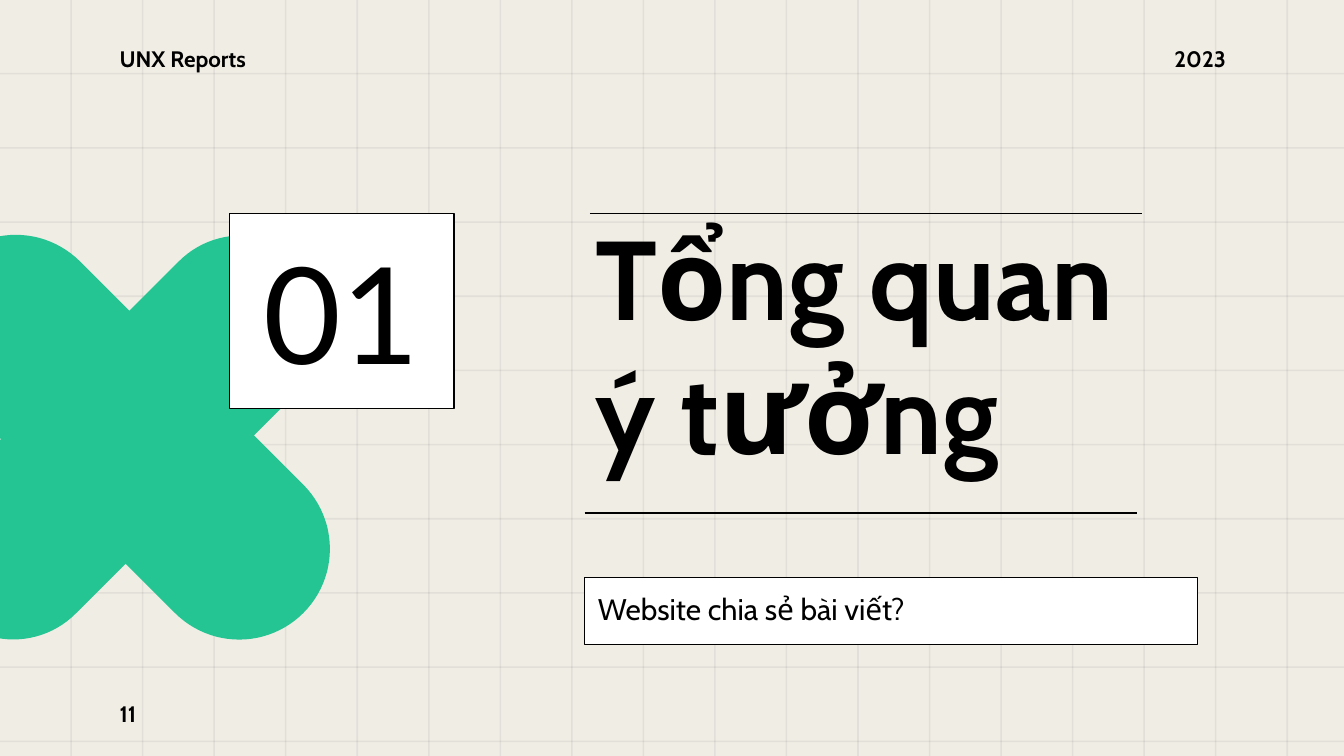
from dataclasses import dataclass

from lxml.etree import SubElement
from pptx import Presentation
from pptx.dml.color import RGBColor
from pptx.enum.shapes import MSO_CONNECTOR as Connector, MSO_SHAPE as Preset
from pptx.enum.text import MSO_ANCHOR as Anchor, PP_ALIGN as Align
from pptx.oxml.ns import qn
from pptx.util import Cm, Pt

WIDTH, HEIGHT = 25.4, 14.29
BLACK, WHITE, GREEN, PAPER = "000000", "FFFFFF", "25C593", "F0EDE5"
GRID_OPACITY = 6


@dataclass(frozen=True)
class Box:
    """Position and size in centimetres."""
    left: float
    top: float
    width: float
    height: float

    def lengths(self) -> list[Cm]:
        return [Cm(value) for value in (self.left, self.top, self.width, self.height)]


@dataclass(frozen=True)
class Label:
    text: str
    box: Box
    size: int = 12
    font: str = "Cabin"
    bold: bool = True
    align: Align = Align.LEFT
    anchor: Anchor = Anchor.TOP
    framed: bool = False


@dataclass(frozen=True)
class Rule:
    left: float
    top: float
    width: float = 10.44


GRID = [Box(1.33 + 1.352 * column, -0.13, 0.03, 14.55) for column in range(18)]
GRID += [Box(-0.25, 1.38 + 1.402 * row, 25.9, 0.03) for row in range(10)]

CROSS_ARMS = [Box(0.74, 3.56, 3.33, 9.42), Box(-2.29, 6.55, 9.4, 3.43)]

LABELS = [
    Label("01", Box(4.34, 4.04, 4.24, 3.68), 72, "Lato", False,
          Align.CENTER, Anchor.MIDDLE, framed=True),
    Label("Website chia sẻ bài viết?", Box(11.05, 10.92, 11.58, 1.27), 16,
          bold=False, framed=True),
    Label("Tổng quan ý tưởng", Box(11, 5, 10.54, 4.27), 60, anchor=Anchor.BOTTOM),
    Label("11", Box(2.01, 12.95, 1.52, 1.09), anchor=Anchor.MIDDLE),
    Label("UNX Reports", Box(2.01, 0.61, 5.87, 0.86)),
    Label("2023", Box(17.55, 0.61, 5.87, 0.86), align=Align.RIGHT),
]

RULES = [Rule(11.15, 4.04), Rule(11.05, 9.7)]


def paint(target, color: str) -> None:
    """Give a fill one solid colour."""
    target.solid()
    target.fore_color.rgb = RGBColor.from_string(color)


def add_filled(slide, preset: Preset, box: Box, color: str):
    shape = slide.shapes.add_shape(preset, *box.lengths())
    shape.shadow.inherit = False
    paint(shape.fill, color)
    shape.line.fill.background()
    return shape


def add_grid_line(slide, box: Box) -> None:
    shape = add_filled(slide, Preset.RECTANGLE, box, BLACK)
    color = shape.element.spPr.find(qn("a:solidFill"))[0]
    SubElement(color, qn("a:alpha")).set("val", str(GRID_OPACITY * 1000))


def add_cross_arm(slide, box: Box) -> None:
    shape = add_filled(slide, Preset.ROUNDED_RECTANGLE, box, GREEN)
    shape.adjustments[0] = 0.5
    shape.rotation = 45


def add_label(slide, label: Label) -> None:
    if label.framed:
        shape = add_filled(slide, Preset.RECTANGLE, label.box, WHITE)
        paint(shape.line.fill, BLACK)
        shape.line.width = Pt(0.75)
    else:
        shape = slide.shapes.add_textbox(*label.box.lengths())
    frame = shape.text_frame
    frame.word_wrap = True
    frame.vertical_anchor = label.anchor
    frame.margin_left = frame.margin_right = Cm(0.25)
    frame.margin_top = frame.margin_bottom = Cm(0.25)
    paragraph = frame.paragraphs[0]
    paragraph.alignment = label.align
    run = paragraph.add_run()
    run.text = label.text
    run.font.name = label.font
    run.font.size = Pt(label.size)
    run.font.bold = label.bold
    paint(run.font.fill, BLACK)


def add_rule(slide, rule: Rule) -> None:
    line = slide.shapes.add_connector(
        Connector.STRAIGHT, Cm(rule.left), Cm(rule.top),
        Cm(rule.left + rule.width), Cm(rule.top))
    paint(line.line.fill, BLACK)
    line.line.width = Pt(0.75)
    SubElement(line.element.spPr, qn("a:effectLst"))


def main() -> None:
    presentation = Presentation()
    presentation.slide_width, presentation.slide_height = Cm(WIDTH), Cm(HEIGHT)
    slide = presentation.slides.add_slide(presentation.slide_layouts[6])
    paint(slide.background.fill, PAPER)
    for box in GRID:
        add_grid_line(slide, box)
    for box in CROSS_ARMS:
        add_cross_arm(slide, box)
    for label in LABELS:
        add_label(slide, label)
    for rule in RULES:
        add_rule(slide, rule)
    presentation.save("out.pptx")


if __name__ == "__main__":
    main()
